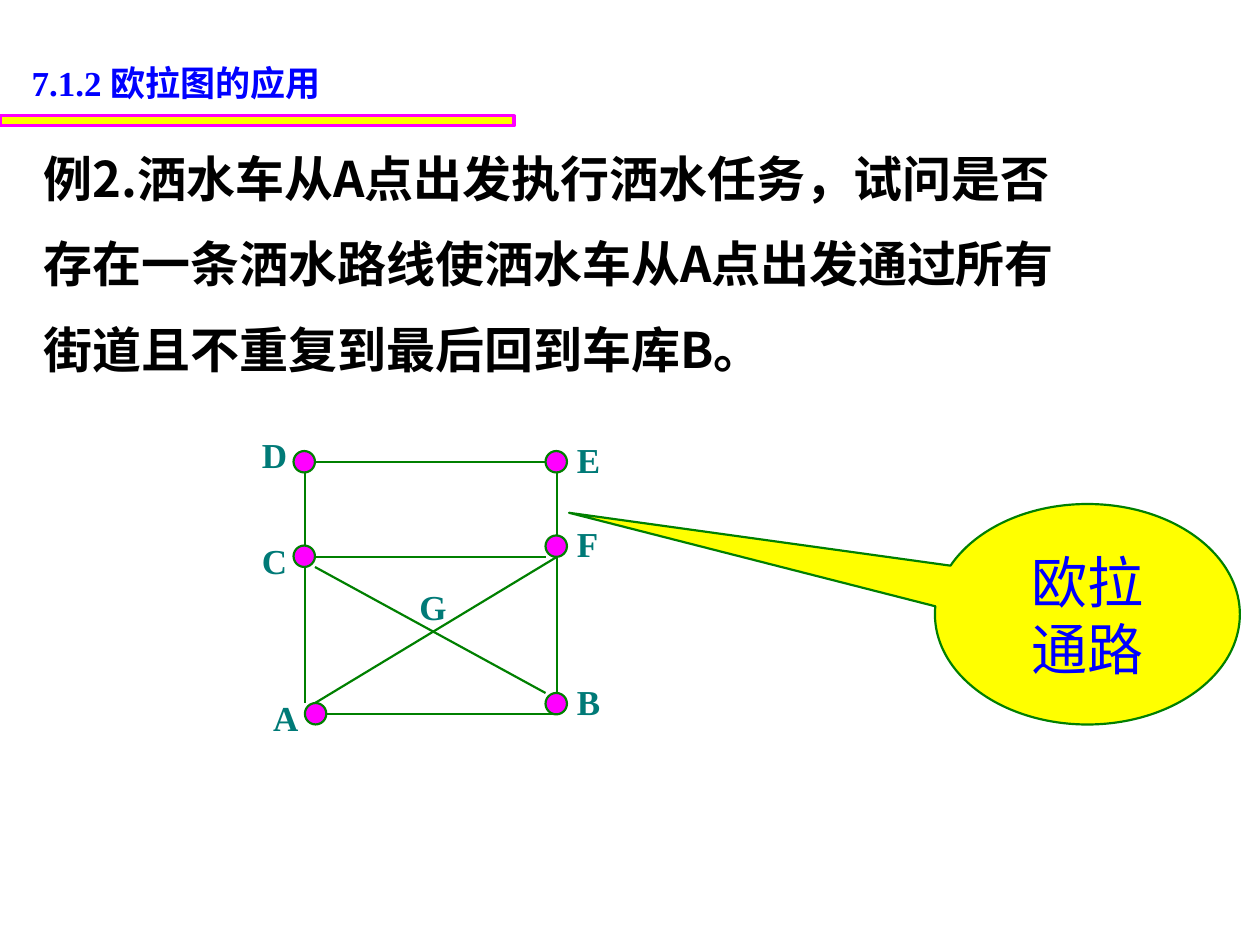
"""Build the slide on Euler graph applications: the street-sprinkler example."""
from lxml.etree import SubElement
from pptx import Presentation
from pptx.dml.color import RGBColor
from pptx.enum.shapes import MSO_CONNECTOR, MSO_SHAPE
from pptx.enum.text import MSO_ANCHOR, MSO_AUTO_SIZE, PP_ALIGN
from pptx.oxml.ns import qn
from pptx.util import Inches, Pt

BLUE = RGBColor(0x00, 0x00, 0xFF)
BLACK = RGBColor(0x00, 0x00, 0x00)
YELLOW = RGBColor(0xFF, 0xFF, 0x00)
MAGENTA = RGBColor(0xFF, 0x00, 0xFF)
GREEN = RGBColor(0x00, 0x80, 0x00)
TEAL = RGBColor(0x00, 0x7A, 0x77)
NODE_SIZE = 0.17


def add_filled(kind, left, top, width, height, fill, outline, weight):
    shape = slide.shapes.add_shape(
        kind, Inches(left), Inches(top), Inches(width), Inches(height))
    shape.shadow.inherit = False
    shape.fill.solid()
    shape.fill.fore_color.rgb = fill
    shape.line.color.rgb = outline
    shape.line.width = Pt(weight)
    return shape


def write_lines(frame, lines, font_name, size, color, bold, align, spacing=None):
    frame.text = "\n".join(lines)
    for paragraph in frame.paragraphs:
        paragraph.alignment = align
        paragraph.line_spacing = spacing
        paragraph.font.name = font_name
        paragraph.font.size = Pt(size)
        paragraph.font.bold = bold
        paragraph.font.color.rgb = color


prs = Presentation()
prs.slide_width = Inches(10)
prs.slide_height = Inches(7.5)
slide = prs.slides.add_slide(prs.slide_layouts[5])

heading = slide.shapes.title
heading.left, heading.top = Inches(0.15), Inches(0.44)
heading.width, heading.height = Inches(3.02), Inches(0.43)
heading.text_frame.vertical_anchor = MSO_ANCHOR.TOP
heading.text_frame.auto_size = MSO_AUTO_SIZE.NONE
write_lines(heading.text_frame, ["7.1.2 欧拉图的应用"],
            "Times New Roman", 20, BLUE, True, PP_ALIGN.LEFT)

add_filled(MSO_SHAPE.RECTANGLE, 0, 0.92, 4.08, 0.08, YELLOW, MAGENTA, 1.75)

example = slide.shapes.add_textbox(
    Inches(0.25), Inches(0.92), Inches(9.75), Inches(2.13))
example.text_frame.word_wrap = True
write_lines(example.text_frame,
            ["例2.洒水车从A点出发执行洒水任务，试问是否",
             "存在一条洒水路线使洒水车从A点出发通过所有",
             "街道且不重复到最后回到车库B。"],
            "Noto Sans CJK JP", 28, BLACK, True, PP_ALIGN.LEFT, 1.45)

streets = [
    (2.5, 3.67, 4.33, 3.67),
    (2.42, 3.75, 2.42, 4.33),
    (4.42, 3.75, 4.42, 4.25),
    (2.5, 4.42, 4.33, 4.42),
    (2.42, 4.5, 2.42, 5.58),
    (4.42, 4.42, 4.42, 5.5),
    (2.58, 5.67, 4.42, 5.67),
    (2.5, 4.5, 4.33, 5.5),
    (2.5, 5.58, 4.42, 4.42),
]
for ends in streets:
    street = slide.shapes.add_connector(
        MSO_CONNECTOR.STRAIGHT, *[Inches(value) for value in ends])
    street.line.color.rgb = GREEN
    street.line.width = Pt(1.25)
    SubElement(street._element.spPr, qn("a:effectLst"))

junctions = [(2.33, 3.58), (2.33, 4.33), (4.33, 3.58),
             (4.33, 4.25), (2.42, 5.58), (4.33, 5.5)]
for left, top in junctions:
    add_filled(MSO_SHAPE.OVAL, left, top, NODE_SIZE, NODE_SIZE, MAGENTA, GREEN, 1.25)

labels = [
    ("D", 1.98, 3.39, 0.4),
    ("E", 4.48, 3.43, 0.38),
    ("C", 1.98, 4.23, 0.4),
    ("F", 4.48, 4.1, 0.37),
    ("A", 2.07, 5.48, 0.4),
    ("B", 4.48, 5.35, 0.38),
    ("G", 3.23, 4.6, 0.41),
]
for letter, left, top, width in labels:
    label = slide.shapes.add_textbox(
        Inches(left), Inches(top), Inches(width), Inches(0.43))
    label.text_frame.word_wrap = False
    label.text_frame.auto_size = MSO_AUTO_SIZE.SHAPE_TO_FIT_TEXT
    write_lines(label.text_frame, [letter],
                "Times New Roman", 20, TEAL, True, PP_ALIGN.LEFT)

answer = add_filled(MSO_SHAPE.OVAL_CALLOUT, 7.42, 4, 2.42, 1.75, YELLOW, GREEN, 1.25)
answer.adjustments[0] = -1.7
answer.adjustments[1] = -0.46
answer.text_frame.vertical_anchor = MSO_ANCHOR.MIDDLE
write_lines(answer.text_frame, ["欧拉", "通路"],
            "Arial", 32, BLUE, False, PP_ALIGN.CENTER)

prs.save("out.pptx")
